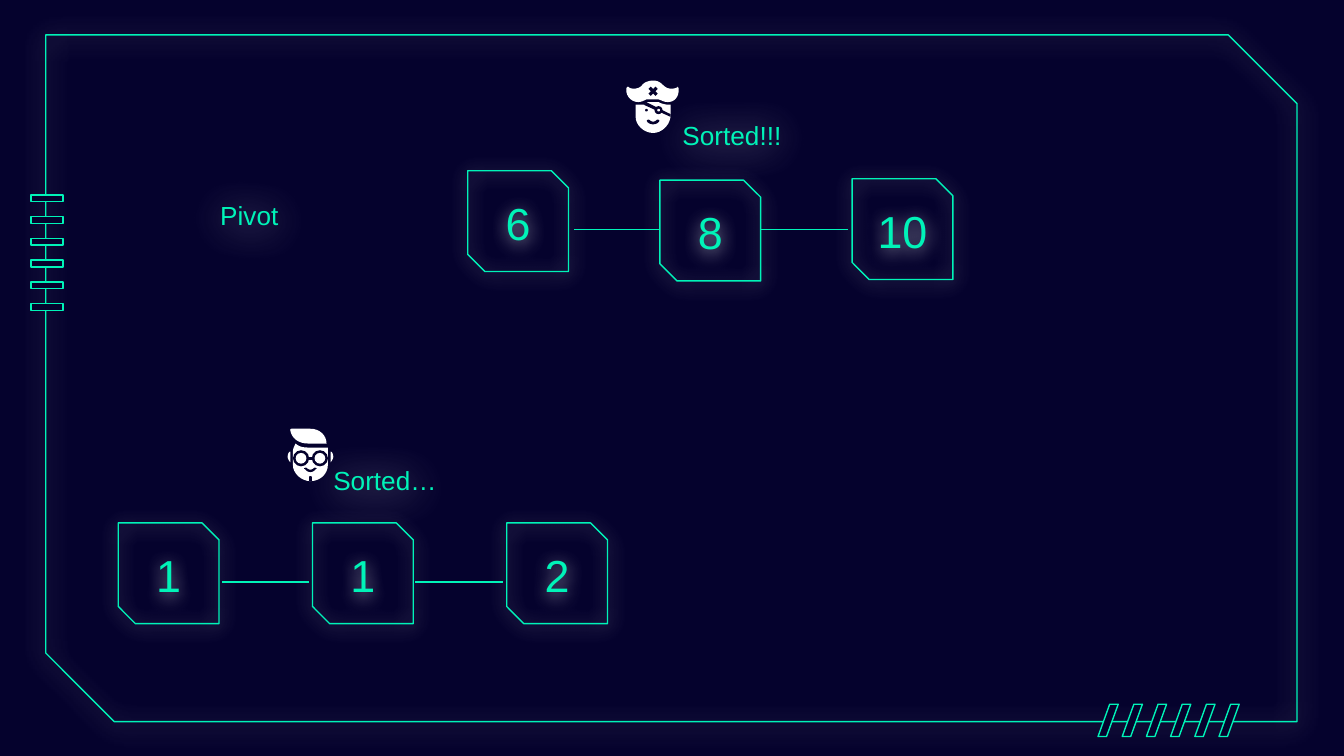
from lxml.etree import SubElement
from pptx import Presentation
from pptx.dml.color import RGBColor
from pptx.enum.shapes import MSO_CONNECTOR, MSO_SHAPE
from pptx.enum.text import MSO_ANCHOR, MSO_AUTO_SIZE, PP_ALIGN
from pptx.oxml.ns import qn
from pptx.util import Inches, Pt

NAVY = RGBColor(0x05, 0x02, 0x2D)
MINT = RGBColor(0x00, 0xF3, 0xB8)
WHITE = RGBColor(0xFF, 0xFF, 0xFF)


def paint(shape, fill=None, line=None):
    shape.shadow.inherit = False
    if fill is None:
        shape.fill.background()
    else:
        shape.fill.solid()
        shape.fill.fore_color.rgb = fill
    if line is None:
        shape.line.fill.background()
    else:
        shape.line.color.rgb = line
        shape.line.width = Pt(0.75)
    return shape


def trace(fill, start, *steps):
    """Draw a closed outline; a step is a point, or six numbers for a Bezier curve."""
    points, here = [], start
    for step in steps:
        if len(step) == 6:
            a, b, end = step[:2], step[2:4], step[4:]
            for k in range(1, 9):
                t = k / 8
                u = 1 - t
                points.append([u**3 * here[i] + 3 * u * u * t * a[i]
                               + 3 * u * t * t * b[i] + t**3 * end[i] for i in (0, 1)])
            here = end
        else:
            points.append(step)
            here = step
    form = shapes.build_freeform(Inches(start[0]), Inches(start[1]))
    form.add_line_segments([(Inches(x), Inches(y)) for x, y in points], close=True)
    paint(form.convert_to_shape(), fill)


deck = Presentation()
deck.slide_width = Inches(10)
deck.slide_height = Inches(10) * 9 // 16
slide = deck.slides.add_slide(deck.slide_layouts[5])
slide.background.fill.solid()
slide.background.fill.fore_color.rgb = NAVY
shapes = slide.shapes
glows, labels = [], []

# Frame with its ticks
frame = shapes.add_shape(MSO_SHAPE.SNIP_2_DIAG_RECTANGLE, Inches(0.34), Inches(0.26),
                         Inches(9.31), Inches(5.11))
frame.adjustments[0], frame.adjustments[1] = 0, 0.1
paint(frame, line=MINT)
glows.append((frame, 13.5))
for i in range(6):
    bar = shapes.add_shape(MSO_SHAPE.RECTANGLE, Inches(0.23), Inches(1.45 + 0.81 * i / 5),
                           Inches(0.24), Inches(0.05))
    slash = shapes.add_shape(MSO_SHAPE.PARALLELOGRAM, Inches(8.17 + 0.18 * i), Inches(5.24),
                             Inches(0.15), Inches(0.24))
    slash.adjustments[0] = 0.58
    for tick in (bar, slash):
        paint(tick, NAVY, MINT)

# Number boxes
lower = [(0.88 + 2.89 * i / 2, 3.89, num) for i, num in enumerate("112")]
upper = [(3.48, 1.27, "6"), (4.91, 1.34, "8"), (6.34, 1.33, "10")]
for x, y, num in lower + upper:
    box = shapes.add_shape(MSO_SHAPE.SNIP_2_DIAG_RECTANGLE, Inches(x), Inches(y),
                           Inches(0.75), Inches(0.75))
    box.adjustments[0], box.adjustments[1] = 0, 0.17
    paint(box, line=MINT)
    glows.append((box, 10.1))
    labels.append((box, num, 24, PP_ALIGN.CENTER))

# Links between boxes
for start, end, y in ((2.3, 1.65, 4.33), (3.74, 3.09, 4.33),
                      (4.91, 4.27, 1.71), (6.31, 5.66, 1.71)):
    link = shapes.add_connector(MSO_CONNECTOR.STRAIGHT, Inches(start), Inches(y),
                                Inches(end), Inches(y))
    link.line.color.rgb = MINT
    link.line.width = Pt(0.75)
    SubElement(link._element.spPr, qn("a:effectLst"))

# Face with glasses: ears, hair, head, smile, chin, bridge
trace(WHITE, (2.16, 3.36), (2.15, 3.36, 2.14, 3.38, 2.14, 3.4),
      (2.14, 3.41, 2.15, 3.43, 2.16, 3.44))
trace(WHITE, (2.46, 3.36), (2.46, 3.44), (2.47, 3.43, 2.48, 3.41, 2.48, 3.4),
      (2.48, 3.38, 2.47, 3.36, 2.46, 3.36))
trace(WHITE, (2.17, 3.19), (2.17, 3.19, 2.16, 3.19, 2.16, 3.2),
      (2.17, 3.26, 2.22, 3.3, 2.29, 3.3), (2.43, 3.3),
      (2.43, 3.24, 2.38, 3.19, 2.31, 3.19))
trace(WHITE, (2.2, 3.3), (2.19, 3.32, 2.18, 3.34, 2.18, 3.36), (2.18, 3.46),
      (2.18, 3.52, 2.24, 3.58, 2.31, 3.58), (2.39, 3.58, 2.44, 3.52, 2.44, 3.46),
      (2.44, 3.33), (2.29, 3.33), (2.25, 3.33, 2.22, 3.32, 2.2, 3.3))
trace(NAVY, (2.28, 3.48), (2.3, 3.5, 2.32, 3.5, 2.34, 3.48), (2.36, 3.48, 2.36, 3.49, 2.35, 3.49),
      (2.33, 3.52, 2.29, 3.52, 2.27, 3.49), (2.26, 3.49, 2.26, 3.48, 2.28, 3.48))
trace(NAVY, (2.3, 3.58), (2.3, 3.55), (2.3, 3.54, 2.32, 3.54, 2.32, 3.55), (2.32, 3.58))
trace(NAVY, (2.28, 3.4), (2.34, 3.4), (2.34, 3.42), (2.28, 3.42))

# Face with eye patch: hat, head, strap, smile
trace(WHITE, (4.86, 0.6), (4.83, 0.6, 4.8, 0.61, 4.78, 0.63),
      (4.77, 0.65, 4.74, 0.66, 4.72, 0.66), (4.71, 0.66, 4.69, 0.66, 4.68, 0.65),
      (4.67, 0.64, 4.66, 0.65, 4.66, 0.67), (4.66, 0.72, 4.7, 0.76, 4.75, 0.76),
      (4.77, 0.76, 4.79, 0.75, 4.81, 0.74), (4.9, 0.74),
      (4.93, 0.75, 4.94, 0.76, 4.97, 0.76), (5.02, 0.76, 5.05, 0.72, 5.05, 0.67),
      (5.05, 0.65, 5.04, 0.64, 5.04, 0.65), (5.02, 0.66, 5.01, 0.66, 4.99, 0.66),
      (4.97, 0.66, 4.95, 0.65, 4.93, 0.63), (4.91, 0.61, 4.89, 0.6, 4.86, 0.6))
trace(WHITE, (4.82, 0.76), (4.9, 0.76), (4.92, 0.77, 4.94, 0.78, 4.99, 0.78), (4.99, 0.87),
      (4.98, 0.94, 4.92, 0.99, 4.86, 0.99), (4.79, 0.99, 4.73, 0.93, 4.73, 0.87),
      (4.73, 0.78), (4.79, 0.78))
trace(NAVY, (4.79, 0.78), (4.81, 0.76), (4.99, 0.85), (4.99, 0.87))
trace(NAVY, (4.83, 0.89), (4.85, 0.91, 4.87, 0.91, 4.89, 0.89), (4.91, 0.89, 4.91, 0.9, 4.9, 0.91),
      (4.88, 0.93, 4.84, 0.93, 4.82, 0.91), (4.81, 0.9, 4.81, 0.89, 4.83, 0.89))

# Round parts, each by centre and radius
for x, y, r, fill in ((2.24, 3.41, 0.06, NAVY), (2.24, 3.41, 0.04, WHITE),
                      (2.38, 3.41, 0.06, NAVY), (2.38, 3.41, 0.04, WHITE),
                      (4.9, 0.82, 0.03, NAVY), (4.9, 0.82, 0.01, WHITE),
                      (4.81, 0.82, 0.01, NAVY)):
    paint(shapes.add_shape(MSO_SHAPE.OVAL, Inches(x - r), Inches(y - r),
                           Inches(2 * r), Inches(2 * r)), fill)
cross = shapes.add_shape(MSO_SHAPE.MATH_MULTIPLY, Inches(4.81), Inches(0.63),
                         Inches(0.1), Inches(0.1))
paint(cross, NAVY)

# Captions
title = shapes.title
title.left, title.top, title.width, title.height = (
    Inches(2.38), Inches(3.46), Inches(1), Inches(0.33))
pivot = shapes.add_textbox(Inches(1.54), Inches(1.45), Inches(0.75), Inches(0.37))
done = shapes.add_textbox(Inches(4.98), Inches(0.89), Inches(1.2), Inches(0.33))
for item, text in ((title, "Sorted…"), (pivot, "Pivot"), (done, "Sorted!!!")):
    SubElement(item._element.spPr, qn("a:effectLst"))
    glows.append((item, 22))
    labels.append((item, text, 14, PP_ALIGN.LEFT))

for item, text, size, align in labels:
    body = item.text_frame
    body.text = text
    body.word_wrap = True
    body.auto_size = MSO_AUTO_SIZE.NONE
    body.vertical_anchor = MSO_ANCHOR.BOTTOM
    body.margin_left = body.margin_right = Inches(0.1)
    body.margin_top = body.margin_bottom = Inches(0.1)
    para = body.paragraphs[0]
    para.alignment = align
    font = para.runs[0].font
    font.name, font.size = "Arial", Pt(size)
    font.color.rgb = MINT

# White glow
for item, blur in glows:
    holder = item._element.spPr.find(qn("a:effectLst"))
    glow = SubElement(holder, qn("a:outerShdw"), blurRad=str(Pt(blur)), dist=str(Pt(1.5)),
                      dir="5400000", algn="bl", rotWithShape="0")
    tone = SubElement(glow, qn("a:srgbClr"), val=str(WHITE))
    SubElement(tone, qn("a:alpha"), val="70000")

deck.save("out.pptx")
